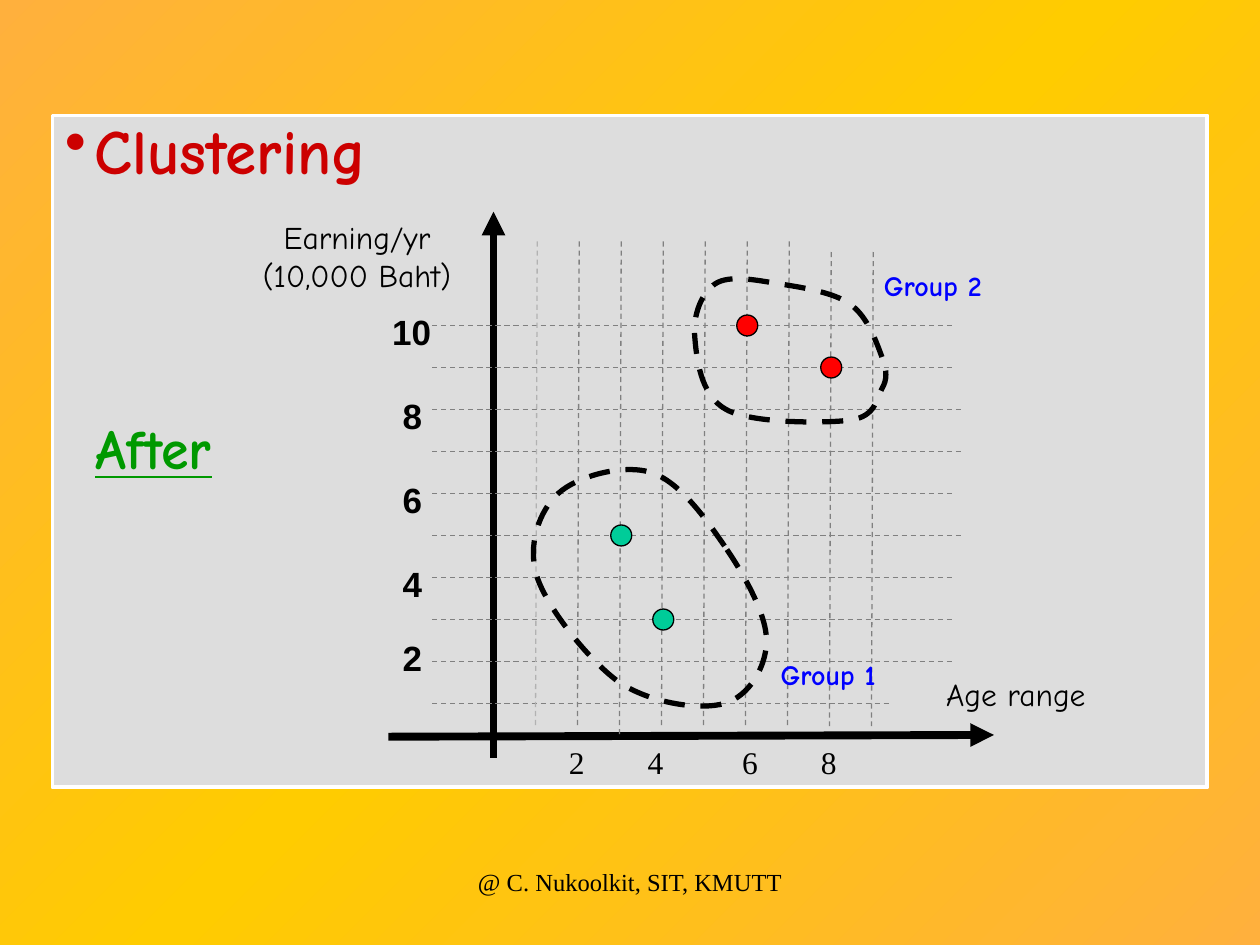
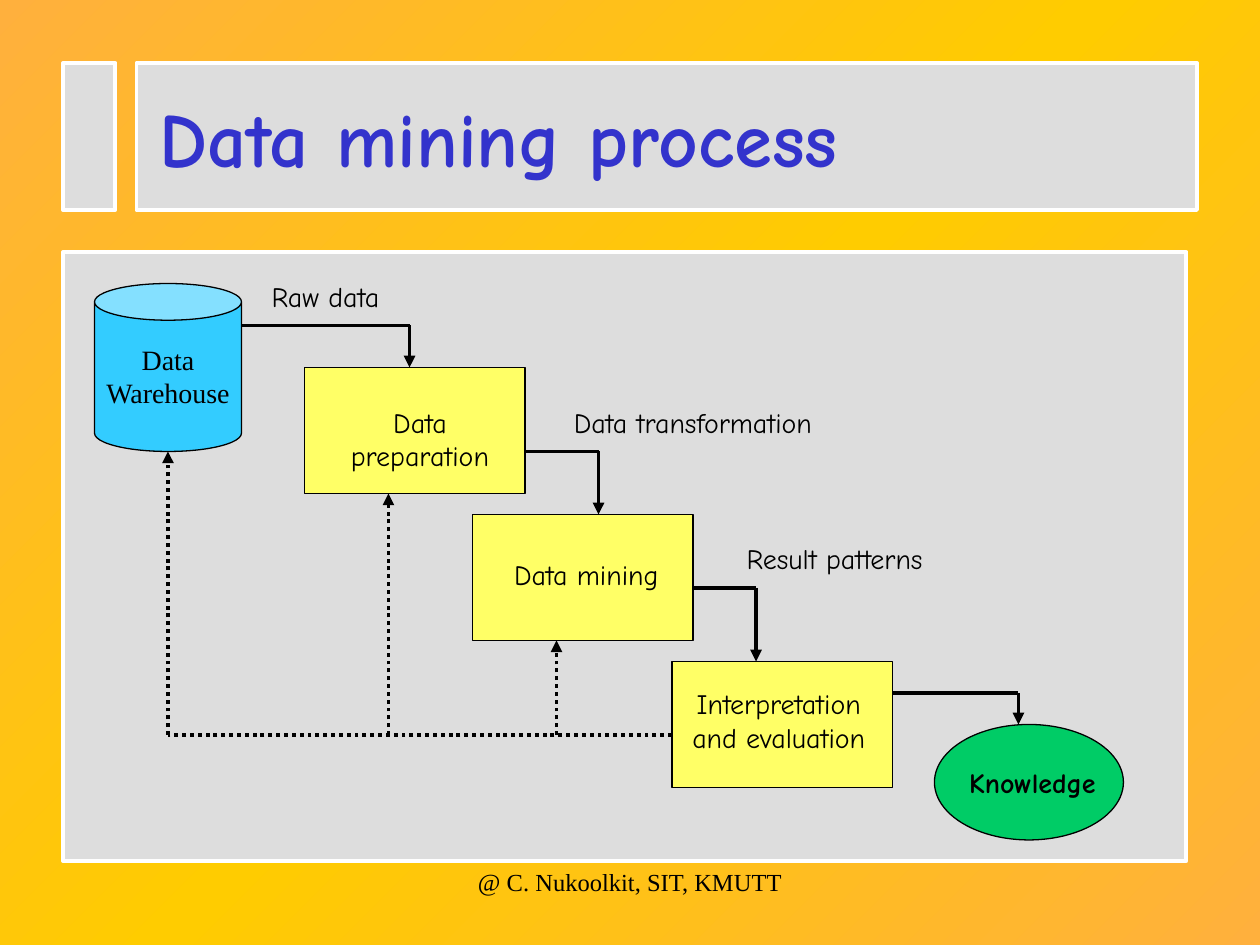
from copy import deepcopy

from lxml import etree
from pptx import Presentation
from pptx import util as u
from pptx.dml.color import RGBColor
from pptx.enum import dml, shapes, text
from pptx.oxml.ns import qn

ORANGE = RGBColor(0xFF, 0xB0, 0x3D)
GOLD = RGBColor(0xFF, 0xCC, 0x00)
PANEL = RGBColor(0xDD, 0xDD, 0xDD)
WHITE = RGBColor(0xFF, 0xFF, 0xFF)
BLACK = RGBColor(0x00, 0x00, 0x00)
GRID = RGBColor(0x80, 0x80, 0x80)
PALE_GRID = RGBColor(0xB2, 0xB2, 0xB2)
CRIMSON = RGBColor(0xCC, 0x00, 0x00)
RED = RGBColor(0xFF, 0x00, 0x00)
TEAL = RGBColor(0x00, 0xCC, 0x99)
BLUE = RGBColor(0x00, 0x00, 0xFF)
INDIGO = RGBColor(0x33, 0x33, 0xCC)
LEAF = RGBColor(0x00, 0x99, 0x00)
SKY = RGBColor(0x33, 0xCC, 0xFF)
YELLOW = RGBColor(0xFF, 0xFF, 0x66)
GREEN = RGBColor(0x00, 0xCC, 0x66)

HAND = "Comic Neue"
SERIF = "Times New Roman"
SANS = "Arial"
CENTER = text.PP_ALIGN.CENTER
DASH = dml.MSO_LINE.DASH
DOT = dml.MSO_LINE.ROUND_DOT
FOOTER = "@ C. Nukoolkit, SIT, KMUTT"

GROUP_1 = [
    (414, 312),
    (403, 296), (388, 275), (372, 270),
    (356, 265), (330, 272), (319, 282),
    (308, 292), (301, 312), (307, 330),
    (313, 348), (337, 378), (354, 390),
    (372, 402), (400, 406), (414, 402),
    (428, 398), (438, 381), (438, 366),
    (438, 351), (425, 328), (414, 312),
]
GROUP_2 = [
    (504, 204),
    (501, 196), (496, 181), (486, 174),
    (477, 167), (457, 164), (444, 162),
    (432, 160), (417, 157), (409, 162),
    (401, 167), (396, 180), (397, 192),
    (398, 204), (400, 226), (415, 234),
    (429, 242), (472, 242), (486, 240),
    (501, 238), (501, 227), (504, 222),
    (507, 217), (507, 212), (504, 204),
]


class Board:
    def __init__(self, deck):
        self.deck = deck
        self.page = None

    def new_page(self):
        self.page = self.deck.slides.add_slide(self.deck.slide_layouts[6])
        fill = self.page.background.fill
        fill.gradient()
        fill.gradient_angle = 135
        for stop in fill.gradient_stops:
            stop.color.rgb = ORANGE
        stops = self.page._element.find(".//" + qn("a:gsLst"))
        stops.insert(1, deepcopy(stops[0]))
        middle = fill.gradient_stops[1]
        middle.position = 0.5
        middle.color.rgb = GOLD
        self.label(FOOTER, 246, 492, 228, 36, size=14, name=SERIF, align=CENTER)

    def outline(self, line, color, width, dash=None):
        line.color.rgb = color
        line.width = u.Pt(width)
        if dash:
            line.dash_style = dash

    def shape(self, kind, left, top, width, height, fill, line=BLACK, weight=0.75):
        box = self.page.shapes.add_shape(kind, *map(u.Pt, (left, top, width, height)))
        box.shadow.inherit = False
        box.fill.solid()
        box.fill.fore_color.rgb = fill
        self.outline(box.line, line, weight)
        return box

    def panel(self, left, top, width, height):
        self.shape(shapes.MSO_SHAPE.RECTANGLE, left, top, width, height, PANEL, WHITE, 2.25)

    def label(self, words, left, top, width, height, align=None, bullet=False,
              tabs=(), color=BLACK, size=16, name=HAND, **style):
        box = self.page.shapes.add_textbox(*map(u.Pt, (left, top, width, height)))
        box.text_frame.word_wrap = True
        para = box.text_frame.paragraphs[0]
        para.text = words
        para.alignment = align
        props = para._p.get_or_add_pPr()
        if bullet:
            props.set("marL", str(u.Pt(17)))
            props.set("indent", str(u.Pt(-17)))
            etree.SubElement(props, qn("a:buChar"), char="•")
        if tabs:
            stops = etree.SubElement(props, qn("a:tabLst"))
            for place in tabs:
                etree.SubElement(stops, qn("a:tab"), pos=str(u.Pt(place)), algn="l")
        values = {"size": u.Pt(size), "name": name, **style}
        for span in para.runs:
            for key, value in values.items():
                setattr(span.font, key, value)
            span.font.color.rgb = color

    def line(self, x1, y1, x2, y2, color=BLACK, width=2.25, dash=None, arrow=False):
        link = self.page.shapes.add_connector(
            shapes.MSO_CONNECTOR.STRAIGHT, *map(u.Pt, (x1, y1, x2, y2)))
        self.outline(link.line, color, width, dash)
        if arrow:
            etree.SubElement(link.line._get_or_add_ln(), qn("a:tailEnd"), type="triangle")
        etree.SubElement(link._element.spPr, qn("a:effectLst"))

    def elbow(self, x1, y1, x2, y2):
        self.line(x1, y1, x2, y1)
        self.line(x2, y1, x2, y2, arrow=True)

    def curve(self, points):
        start, *rest = [(u.Pt(x), u.Pt(y)) for x, y in points]
        builder = self.page.shapes.build_freeform(*start)
        builder.add_line_segments(rest, close=True)
        loop = builder.convert_to_shape()
        loop.shadow.inherit = False
        loop.fill.background()
        self.outline(loop.line, BLACK, 3, DASH)
        segments = loop._element.findall(".//" + qn("a:lnTo"))
        for first in range(0, len(segments), 3):
            bezier = etree.Element(qn("a:cubicBezTo"))
            segments[first].addprevious(bezier)
            for segment in segments[first:first + 3]:
                bezier.append(segment[0])
                segment.getparent().remove(segment)


def age_x(age):
    return 283 + 24 * age


def earning_y(earning):
    return 426 - 24 * earning


def clustering(board):
    board.new_page()
    board.panel(30, 66, 660, 384)
    board.label("Clustering", 30, 60, 636, 54, bullet=True, color=CRIMSON, size=36, bold=True)

    board.line(282, 433, 282, 121, width=4.5, arrow=True)
    board.line(222, 421, 568, 420, width=4.5, arrow=True)
    row_ends = {1: 508, 5: 550, 7: 550, 8: 550}
    for earning in range(1, 11):
        y = earning_y(earning)
        board.line(247, y, row_ends.get(earning, 544), y, GRID, 0.75, DASH)
    for age in range(1, 10):
        x = age_x(age)
        board.line(x, 144 if age >= 8 else 138, x - 1, 421 if age == 3 else 415,
                   PALE_GRID if age == 1 else GRID, 0.75, DASH)

    for earning, left, top in ((2, 223, 360), (4, 223, 318), (6, 223, 270),
                               (8, 223, 222), (10, 217, 174)):
        board.label(str(earning), left, top, 48, 32, size=20, name=SANS, bold=True)
    board.label("\t2\t4\t6\t8", 288, 421, 244, 28, tabs=(30, 75, 129, 174), size=18, name=SERIF)
    board.label("Earning/yr\v(10,000 Baht)", 121, 121, 166, 53, align=CENTER, size=18)
    board.label("Age range", 515, 382, 131, 32, align=CENTER, size=18)

    for age, earning, color in ((3, 5, TEAL), (4, 3, TEAL), (6, 10, RED), (8, 9, RED)):
        board.shape(shapes.MSO_SHAPE.OVAL, age_x(age) - 6, earning_y(earning) - 6, 12, 12, color)
    board.curve(GROUP_1)
    board.curve(GROUP_2)
    board.label("Group 1", 439, 372, 125, 27, color=BLUE, bold=True)
    board.label("Group 2", 498, 150, 107, 27, color=BLUE, bold=True)
    board.label("After", 47.5, 233, 172, 46, color=LEAF, size=32, bold=True, underline=True)


def mining_process(board):
    board.new_page()
    board.panel(78, 36, 606, 84)
    board.panel(36, 144, 642, 348)
    board.panel(36, 36, 30, 84)
    board.label("Data mining process", 84, 48, 594, 60, color=INDIGO, size=44, bold=True)

    board.shape(shapes.MSO_SHAPE.CAN, 54, 162, 84, 96, SKY)
    for left, top in ((174, 210), (270, 294), (384, 378)):
        board.shape(shapes.MSO_SHAPE.RECTANGLE, left, top, 126, 72, YELLOW)
    board.shape(shapes.MSO_SHAPE.OVAL, 534, 414, 108, 66, GREEN)

    board.label("Data Warehouse", 48, 192, 96, 46, align=CENTER, name=SERIF)
    board.label("Knowledge", 530, 434, 120, 27, align=CENTER, bold=True)
    for words, left, top, width, height in (
        ("Data preparation", 180, 228, 120, 46),
        ("Data mining", 275, 315, 120, 27),
        ("Interpretation and evaluation", 382, 389, 126, 46),
        ("Raw data", 123, 156, 126, 27),
        ("Data transformation", 306, 228, 180, 27),
        ("Result patterns", 390, 306, 174, 27),
    ):
        board.label(words, left, top, width, height, align=CENTER)

    for ends in ((138, 186, 234, 210), (300, 258, 342, 294),
                 (396, 336, 432, 378), (510, 396, 582, 414)):
        board.elbow(*ends)
    board.line(384, 420, 96, 420, dash=DOT)
    for x, y in ((96, 258), (222, 282), (318, 366)):
        board.line(x, 420, x, y, dash=DOT, arrow=True)


def main():
    deck = Presentation()
    deck.slide_width = u.Pt(720)
    deck.slide_height = u.Pt(540)
    board = Board(deck)
    clustering(board)
    mining_process(board)
    deck.save("out.pptx")


if __name__ == "__main__":
    main()
